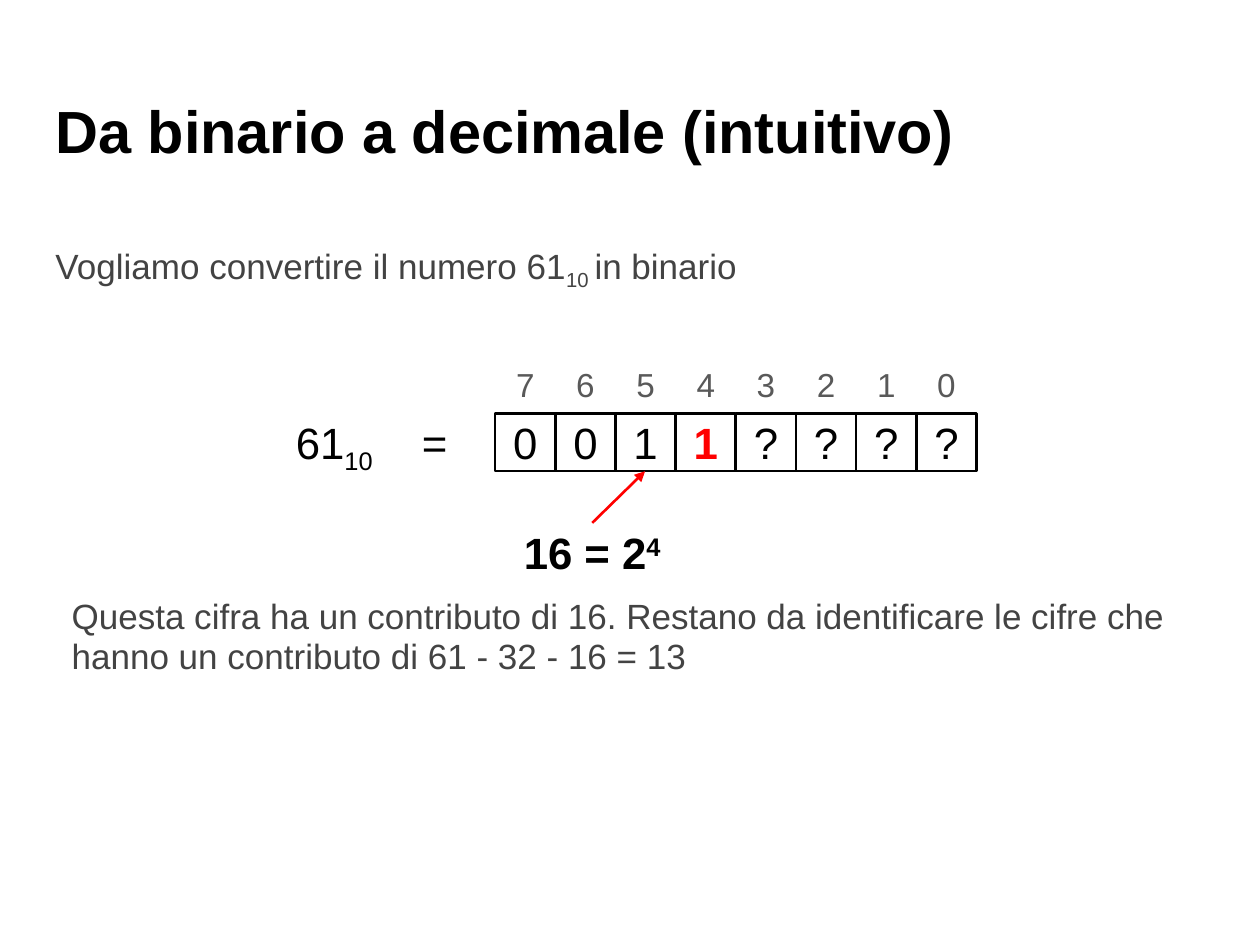
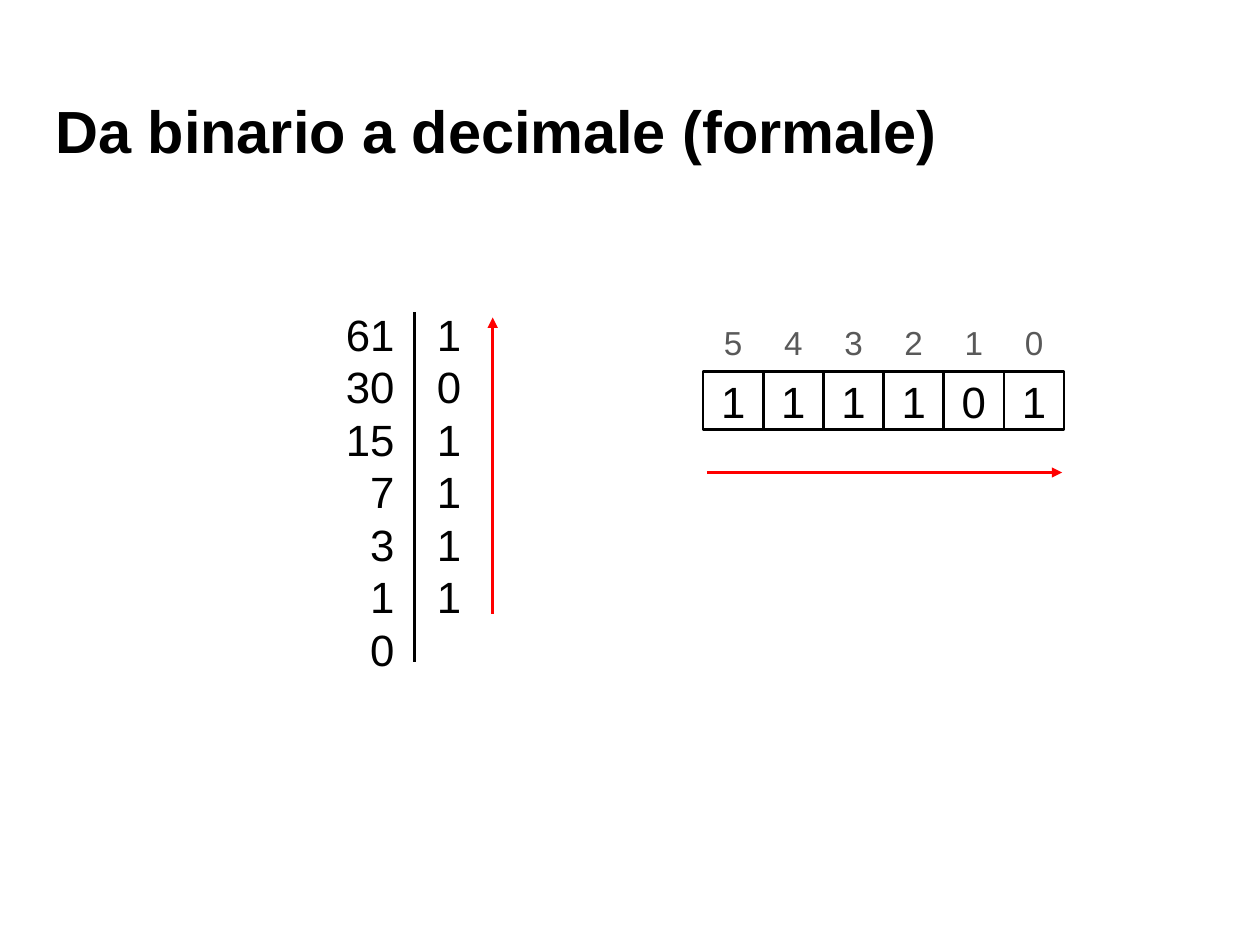
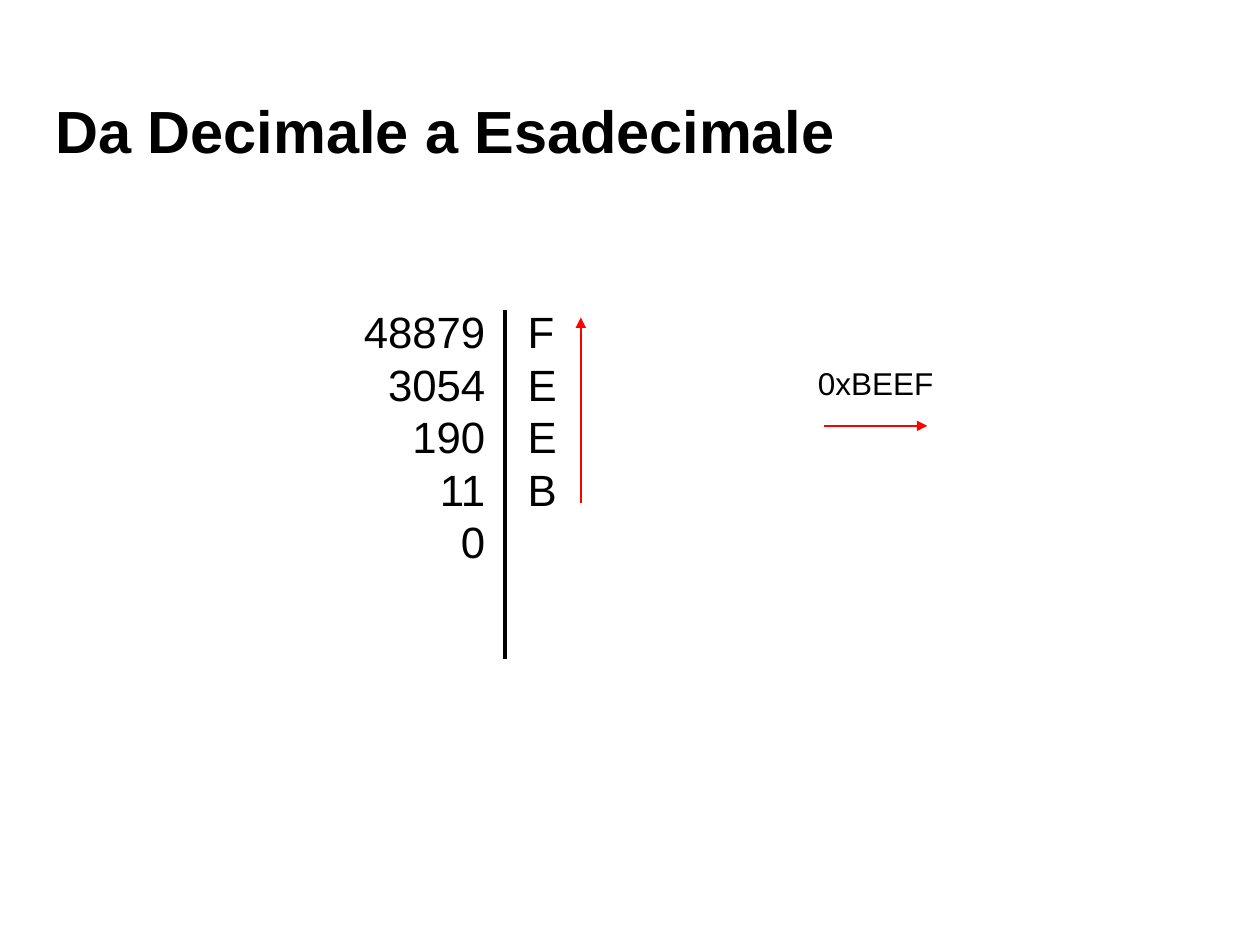
from lxml.etree import SubElement
from pptx import Presentation
from pptx.dml.color import RGBColor
from pptx.enum.shapes import MSO_CONNECTOR as Connector, MSO_SHAPE as Shape
from pptx.enum.text import MSO_ANCHOR as Anchor, MSO_AUTO_SIZE as AutoSize, PP_ALIGN as Align
from pptx.oxml.ns import qn
from pptx.util import Inches, Pt

# Shared look
FONT = "Arial"
BLACK, RED, BODY_GREY, INDEX_GREY = "000000", "FF0000", "434343", "595959"
color = RGBColor.from_string

# Grid: 10 columns by 7.5 rows
UNIT = Inches(1)
LEFT, WIDE = 0.34, 9.32
CELL_WIDTH, CELL_HEIGHT = 3.82 / 8, 0.46
COLUMN_HEIGHT = 3.06

deck = Presentation()
deck.slide_width, deck.slide_height = 10 * UNIT, int(7.5 * UNIT)


def write(page, area, text, size=25, ink=BLACK, bold=False, align=Align.LEFT, anchor=Anchor.TOP,
          holder=None, outlined=False, shift=-25, spacing=None, after=0, tab=None):
    """Write one paragraph per line; spans between bars are raised or lowered by shift."""
    area = [int(length * UNIT) for length in area]
    if outlined:
        box = page.shapes.add_shape(Shape.RECTANGLE, *area)
        box.shadow.inherit = False
        box.fill.background()
        box.line.color.rgb, box.line.width = color(BLACK), Pt(1.5)
    else:
        box = holder or page.shapes.add_textbox(*area)
        box.left, box.top, box.width, box.height = area
    frame = box.text_frame
    frame.word_wrap, frame.auto_size, frame.vertical_anchor = True, AutoSize.NONE, anchor
    frame.margin_left = frame.margin_right = frame.margin_top = frame.margin_bottom = Inches(0.1)
    for number, line in enumerate(text.split("\n")):
        para = frame.add_paragraph() if number else frame.paragraphs[0]
        para.alignment, para.line_spacing = align, spacing
        para.space_before, para.space_after = Pt(0), Pt(after)
        props = para._p.get_or_add_pPr()
        props.set("marL", "0")
        props.set("indent", "0")
        SubElement(props, qn("a:buNone"))
        if tab:
            stops = SubElement(props, qn("a:tabLst"))
            SubElement(stops, qn("a:tab"), pos=str(int(tab * UNIT)), algn="l")
        for position, words in enumerate(line.split("|")):
            span = para.add_run()
            span.text = words
            font = span.font
            font.name, font.size, font.bold, font.color.rgb = FONT, Pt(size), bold, color(ink)
            if position % 2:
                span._r.get_or_add_rPr().set("baseline", str(shift * 1000))


def draw_line(page, start, end, ink=RED, width=1.5, arrow=True):
    ends = [int(length * UNIT) for length in (*start, *end)]
    line = page.shapes.add_connector(Connector.STRAIGHT, *ends)
    line.line.color.rgb, line.line.width = color(ink), Pt(width)
    props = line.element.spPr
    if arrow:
        SubElement(props.find(qn("a:ln")), qn("a:tailEnd"), type="triangle")
    SubElement(props, qn("a:effectLst"))


# Pages and titles
TITLE_AND_BODY, TITLE_ONLY = deck.slide_layouts[1], deck.slide_layouts[5]
pages = []
for title, layout in (("Da binario a decimale (intuitivo)", TITLE_AND_BODY),
                      ("Da binario a decimale (formale)", TITLE_ONLY),
                      ("Da Decimale a Esadecimale", TITLE_ONLY)):
    page = deck.slides.add_slide(layout)
    write(page, (LEFT, 0.65, WIDE, 0.83), title, size=34, bold=True, holder=page.shapes.title)
    pages.append(page)
intuitive, formal, hexadecimal = pages

# Bit rows: numbered positions above outlined digits
for page, left, top, bits, red_cell in ((intuitive, 3.93, 3.28, "0011????", 3),
                                        (formal, 5.58, 2.95, "111101", None)):
    for column, bit in enumerate(bits):
        x = left + column * CELL_WIDTH
        marked = column == red_cell
        write(page, (x, top, CELL_WIDTH, CELL_HEIGHT), bit, ink=RED if marked else BLACK,
              bold=marked, align=Align.CENTER, anchor=Anchor.MIDDLE, outlined=True)
        write(page, (x, top - CELL_HEIGHT, CELL_WIDTH, CELL_HEIGHT), str(len(bits) - 1 - column),
              size=19, ink=INDEX_GREY, align=Align.CENTER, anchor=Anchor.MIDDLE)

# Successive divisions: quotients, rule, remainders
for page, rule, top, quotients, remainders in (
        (formal, 3.29, 2.34, "61 30 15 7 3 1 0", "1 0 1 1 1 1"),
        (hexadecimal, 4.01, 2.32, "48879 3054 190 11 0", "F E E B")):
    write(page, (rule - 1.72, top, 1.66, COLUMN_HEIGHT), quotients.replace(" ", "\n"),
          align=Align.RIGHT)
    write(page, (rule + 0.08, top, 0.97, COLUMN_HEIGHT), remainders.replace(" ", "\n"))
    draw_line(page, (rule, top + 0.14), (rule, top + 2.91), ink=BLACK, width=2.25, arrow=False)

# Intuitive conversion
write(intuitive, (LEFT, 1.78, WIDE, 0.63), "Vogliamo convertire il numero 61|10 |in binario",
      size=20, ink=BODY_GREY, spacing=1.15, after=12, holder=intuitive.placeholders[1])
write(intuitive, (2.25, 3.2, 1.68, 0.62), "61|10|\t=", tab=0.98)
write(intuitive, (3.86, 4.15, 1.68, CELL_HEIGHT), "16 = 2|4", bold=True, shift=30,
      align=Align.CENTER, anchor=Anchor.MIDDLE)
write(intuitive, (0.47, 4.64, WIDE, 1.34),
      "Questa cifra ha un contributo di 16. Restano da identificare le cifre che "
      "hanno un contributo di 61 - 32 - 16 = 13", size=20, ink=BODY_GREY, spacing=0.95)
draw_line(intuitive, (4.7, 4.15), (5.12, 3.74))

# Reading direction of the formal conversion
draw_line(formal, (3.91, 4.87), (3.91, 2.52))
draw_line(formal, (5.61, 3.75), (8.43, 3.75))

# Hexadecimal result and its reading direction
write(hexadecimal, (6.19, 2.79, 1.52, 0.47), "0xBEEF", size=18, align=Align.CENTER)
draw_line(hexadecimal, (4.61, 3.99), (4.61, 2.52))
draw_line(hexadecimal, (6.54, 3.38), (7.36, 3.38))

deck.save("out.pptx")
